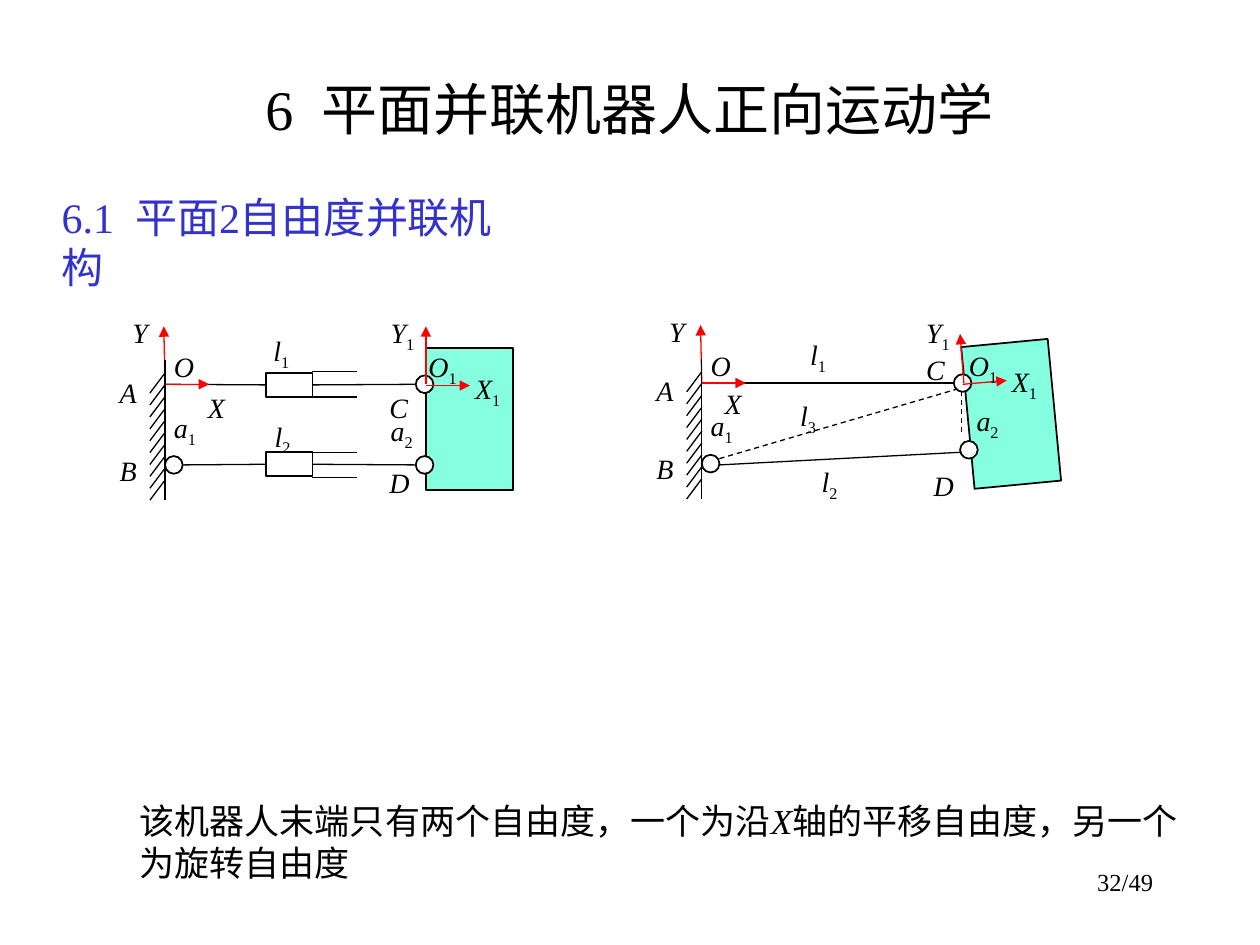
from lxml import etree
from pptx import Presentation
from pptx.dml.color import RGBColor
from pptx.enum.dml import MSO_LINE
from pptx.enum.shapes import MSO_CONNECTOR, MSO_SHAPE
from pptx.enum.text import MSO_ANCHOR, PP_ALIGN
from pptx.oxml.ns import qn
from pptx.util import Inches, Pt

FONT = "Times New Roman"
BLACK, RED, BLUE, WHITE, MINT = "000000", "FF0000", "3333CC", "FFFFFF", "85FFE0"
RECTANGLE, CIRCLE = MSO_SHAPE.RECTANGLE, MSO_SHAPE.OVAL
STRAIGHT, DASH = MSO_CONNECTOR.STRAIGHT, MSO_LINE.DASH
LEFT, CENTER, RIGHT, JUSTIFY = PP_ALIGN.LEFT, PP_ALIGN.CENTER, PP_ALIGN.RIGHT, PP_ALIGN.JUSTIFY
TOP, MIDDLE = MSO_ANCHOR.TOP, MSO_ANCHOR.MIDDLE
JOINT = 0.14  # joint diameter


def rgb(value):
    return RGBColor.from_string(value)


def add_line(figure, x1, y1, x2, y2, color=BLACK, arrow=False, dash=None):
    line = figure.shapes.add_connector(STRAIGHT, Inches(x1), Inches(y1), Inches(x2), Inches(y2))
    line.line.color.rgb = rgb(color)
    line.line.width = Pt(0.75)
    if dash:
        line.line.dash_style = dash
    if arrow:
        etree.SubElement(line.line._get_or_add_ln(), qn("a:tailEnd"), type="triangle")
    etree.SubElement(line._element.spPr, qn("a:effectLst"))
    return line


presentation = Presentation()
presentation.slide_width = Inches(10)
presentation.slide_height = Inches(7.5)
slide = presentation.slides.add_slide(presentation.slide_layouts[6])

# Title, section heading, explanation and page number; "*" marks an italic run
texts = [
    (0.75, 0.44, 8.5, 0.83, ["6  平面并联机器人正向运动学"], 32, BLACK, CENTER, MIDDLE),
    (0.39, 1.47, 3.9, 0.5, ["6.1  平面2自由度并联机构"], 24, BLUE, LEFT, TOP),
    (1.01, 6.3, 8.52, 0.77, ["该机器人末端只有两个自由度，一个为沿", "*X",
                             "轴的平移自由度，另一个为旋转自由度"], 20, BLACK, LEFT, TOP),
    (7.17, 6.83, 2.08, 0.5, ["32/49"], 14, BLACK, RIGHT, TOP),
]
for left, top, width, height, parts, size, color, align, anchor in texts:
    box = slide.shapes.add_textbox(Inches(left), Inches(top), Inches(width), Inches(height))
    box.text_frame.word_wrap = True
    box.text_frame.vertical_anchor = anchor
    paragraph = box.text_frame.paragraphs[0]
    paragraph.alignment = align
    paragraph.font.name = FONT
    paragraph.font.size = Pt(size)
    paragraph.font.color.rgb = rgb(color)
    for part in parts:
        run = paragraph.add_run()
        run.text = part.lstrip("*")
        if part.startswith("*"):
            run.font.italic = True

# Each mechanism: wall offset, platform, its tilt, and the two platform joints
mechanisms = [
    dict(offset=(0, 0), platform=(3.38, 2.76), tilt=0, joints=[(3.3, 2.98), (3.3, 3.62)],
         axes=[(3.38, 3.06, 3.73, 3.06), (3.38, 3.05, 3.38, 2.59)],
         labels=[("l1", 2.13, 2.53), ("l2", 2.14, 3.21), ("X", 1.61, 2.99), ("Y1", 3.06, 2.39),
                 ("X1", 3.73, 2.83), ("O1", 3.36, 2.66), ("C", 3.05, 2.99), ("D", 3.05, 3.59),
                 ("a2", 3.06, 3.17)]),
    dict(offset=(4.26, -0.01), platform=(7.68, 2.72), tilt=-5.4, joints=[(7.57, 2.97), (7.62, 3.5)],
         axes=[(7.64, 3.05, 7.99, 3.02), (7.65, 3.04, 7.62, 2.65)],
         labels=[("l1", 6.39, 2.56), ("l2", 6.48, 3.57), ("l3", 6.31, 3.05), ("X", 5.71, 2.96),
                 ("Y1", 7.31, 2.39), ("X1", 7.99, 2.78), ("O1", 7.65, 2.65), ("C", 7.31, 2.69),
                 ("D", 7.37, 3.61), ("a2", 7.71, 3.09)]),
]
wall_labels = [("Y", 1.01, 2.4), ("O", 1.34, 2.67), ("A", 0.91, 2.87), ("B", 0.91, 3.49), ("a1", 1.34, 3.14)]

for mechanism in mechanisms:
    figure = slide.shapes.add_group_shape()
    dx, dy = mechanism["offset"]
    wall = 1.31 + dx

    # Platform, cylinders and joints
    outlines = [(RECTANGLE, *mechanism["platform"], 0.69, 1.13, MINT)]
    outlines += [(CIRCLE, *joint, JOINT, JOINT, WHITE) for joint in mechanism["joints"]]
    outlines.append((CIRCLE, wall, 3.62 + dy, JOINT, JOINT, None))
    if not mechanism["tilt"]:
        outlines += [(RECTANGLE, 2.11, top, 0.37, 0.19, None) for top in (2.96, 3.59)]
    drawn = []
    for kind, left, top, width, height, fill in outlines:
        shape = figure.shapes.add_shape(kind, Inches(left), Inches(top), Inches(width), Inches(height))
        shape.shadow.inherit = False
        shape.line.color.rgb = rgb(BLACK)
        shape.line.width = Pt(1)
        if fill:
            shape.fill.solid()
            shape.fill.fore_color.rgb = rgb(fill)
        else:
            shape.fill.background()
        drawn.append(shape)
    drawn[0].rotation = mechanism["tilt"]

    # Legs
    if mechanism["tilt"]:
        add_line(figure, wall, 3.04, 7.56, 3.04)
        add_line(figure, 5.71, 3.69, 7.62, 3.59)
        add_line(figure, 5.71, 3.64, 7.59, 3.09, dash=DASH)
        add_line(figure, 7.63, 3.43, 7.63, 3.1, dash=DASH)
    else:
        for cylinder, start, y in zip(drawn[-2:], (wall, wall + JOINT), (3.05, 3.69)):
            add_line(figure, start, y, 2.11, y).end_connect(cylinder, 1)
            add_line(figure, 2.48, y, 3.3, y).begin_connect(cylinder, 3)
            for edge in (y - 0.1, y + 0.1):
                add_line(figure, 2.48, edge, 2.83, edge)

    # Moving and fixed axes
    origin = 3.05 + dy
    fixed_axes = [(wall, origin, wall - 0.01, origin - 0.46), (wall, origin, wall + 0.35, origin)]
    for axis in mechanism["axes"] + fixed_axes:
        add_line(figure, *axis, color=RED, arrow=True)

    # Hatched wall
    add_line(figure, wall, 2.86 + dy, wall, 3.97 + dy)
    for index in range(10):
        y = 2.96 + dy + index * 0.85 / 9
        add_line(figure, wall, y, wall - 0.12, y + 0.16)

    # Labels: italic letter with an optional subscript
    labels = mechanism["labels"] + [(name, x + dx, y + dy) for name, x, y in wall_labels]
    for name, left, top in labels:
        box = figure.shapes.add_textbox(Inches(left), Inches(top), Inches(0.51), Inches(0.42))
        frame = box.text_frame
        frame.word_wrap = True
        frame.margin_left = frame.margin_right = Inches(0.04)
        frame.margin_top = frame.margin_bottom = Inches(0.04)
        paragraph = frame.paragraphs[0]
        paragraph.alignment = JUSTIFY
        paragraph.line_spacing = 1.25
        paragraph.font.name = FONT
        paragraph.font.size = Pt(16)
        paragraph.font.color.rgb = rgb(BLACK)
        letter = paragraph.add_run()
        letter.text = name[0]
        letter.font.italic = True
        if name[1:]:
            subscript = paragraph.add_run()
            subscript.text = name[1:]
            subscript.font._element.set("baseline", "-25000")

presentation.save("out.pptx")
